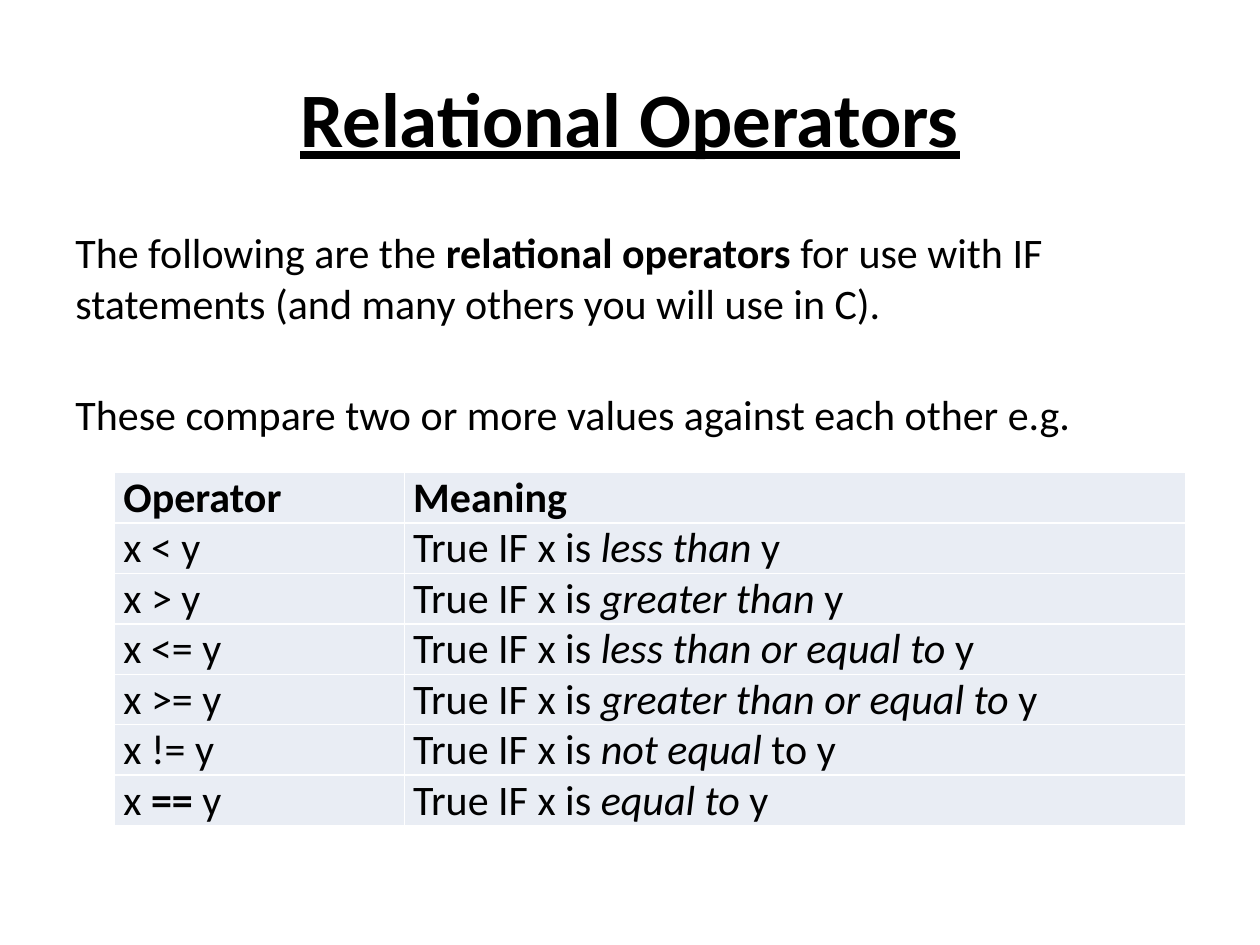
from lxml import etree
from pptx import Presentation, util as u
from pptx.dml.color import RGBColor
from pptx.enum import text
from pptx.oxml.ns import qn

COLORS = {"ink": "000000", "cell": "E9EDF4", "border": "FFFFFF"}
FONT = "Calibri"
COLUMNS, ROWS = 100, 75
OPERATORS = [
    ([("x < y", "")], "less than ", "y"),
    ([("x > y", "")], "greater than ", "y"),
    ([("x <= y", "")], "less than or equal to ", "y"),
    ([("x >= y", "")], "greater than or equal to ", "y"),
    ([("x != y", "")], "not equal ", "to y"),
    ([("x ", ""), ("==", "b"), (" y", "")], "equal to ", "y"),
]


class Page:
    def __init__(self, deck):
        self.slide = deck.slides.add_slide(deck.slide_layouts[6])
        self.column = deck.slide_width / COLUMNS
        self.row = deck.slide_height / ROWS

    def place(self, left, top, width, height):
        return [round(n * unit) for n, unit in zip(
            (left, top, width, height), (self.column, self.row) * 2)]

    def add_spans(self, para, spans, size=24):
        para.font.name = FONT
        para.font.size = u.Pt(size)
        para.font.color.rgb = RGBColor.from_string(COLORS["ink"])
        for words, marks in spans:
            span = para.add_run()
            span.text = words
            if "b" in marks:
                span.font.bold = True
            if "i" in marks:
                span.font.italic = True
            if "u" in marks:
                span.font.underline = True

    def text_box(self, area, paragraphs, size=24, gap=0, centred=False):
        frame = self.slide.shapes.add_textbox(*self.place(*area)).text_frame
        frame.word_wrap = True
        if centred:
            frame.vertical_anchor = text.MSO_ANCHOR.MIDDLE
        for index, spans in enumerate(paragraphs):
            para = frame.add_paragraph() if index else frame.paragraphs[0]
            if index:
                para.space_before = u.Pt(gap)
            if centred:
                para.alignment = text.PP_ALIGN.CENTER
            self.add_spans(para, spans, size)

    def border(self, cell):
        properties = cell._tc.get_or_add_tcPr()
        for side in ("lnL", "lnR", "lnT", "lnB"):
            line = etree.SubElement(properties, qn(f"a:{side}"), w=str(u.Pt(1)))
            fill = etree.SubElement(line, qn("a:solidFill"))
            etree.SubElement(fill, qn("a:srgbClr"), val=COLORS["border"])

    def table(self, area, widths, rows):
        table = self.slide.shapes.add_table(
            len(rows), len(widths), *self.place(*area)).table
        for column, width in zip(table.columns, widths):
            column.width = round(width * self.column)
        for r, row in enumerate(rows):
            for c, spans in enumerate(row):
                cell = table.cell(r, c)
                cell.margin_left = cell.margin_right = u.Inches(0.07)
                cell.margin_top = cell.margin_bottom = 0
                self.border(cell)
                cell.fill.solid()
                cell.fill.fore_color.rgb = RGBColor.from_string(COLORS["cell"])
                self.add_spans(cell.text_frame.paragraphs[0], spans)


def main():
    deck = Presentation()
    deck.slide_width, deck.slide_height = u.Inches(10), u.Inches(7.5)
    page = Page(deck)
    page.text_box((5, 3, 90, 12.5), [[("Relational Operators", "bu")]],
                  size=44, centred=True)
    page.text_box((5, 17.5, 90, 49.5), [
        [("The following are the ", ""), ("relational operators", "b"),
         (" for use with IF statements (and many others you will use in C).", "")],
        [("These compare two or more values against each other e.g.", "")],
    ], gap=35)
    header = [[("Operator", "b")], [("Meaning", "b")]]
    meanings = [[sign, [("True IF x is ", ""), (relation, "i"), (ending, "")]]
                for sign, relation, ending in OPERATORS]
    page.table((9.1, 37.5, 85, 28), (23, 62), [header] + meanings)
    deck.save("out.pptx")


if __name__ == "__main__":
    main()
